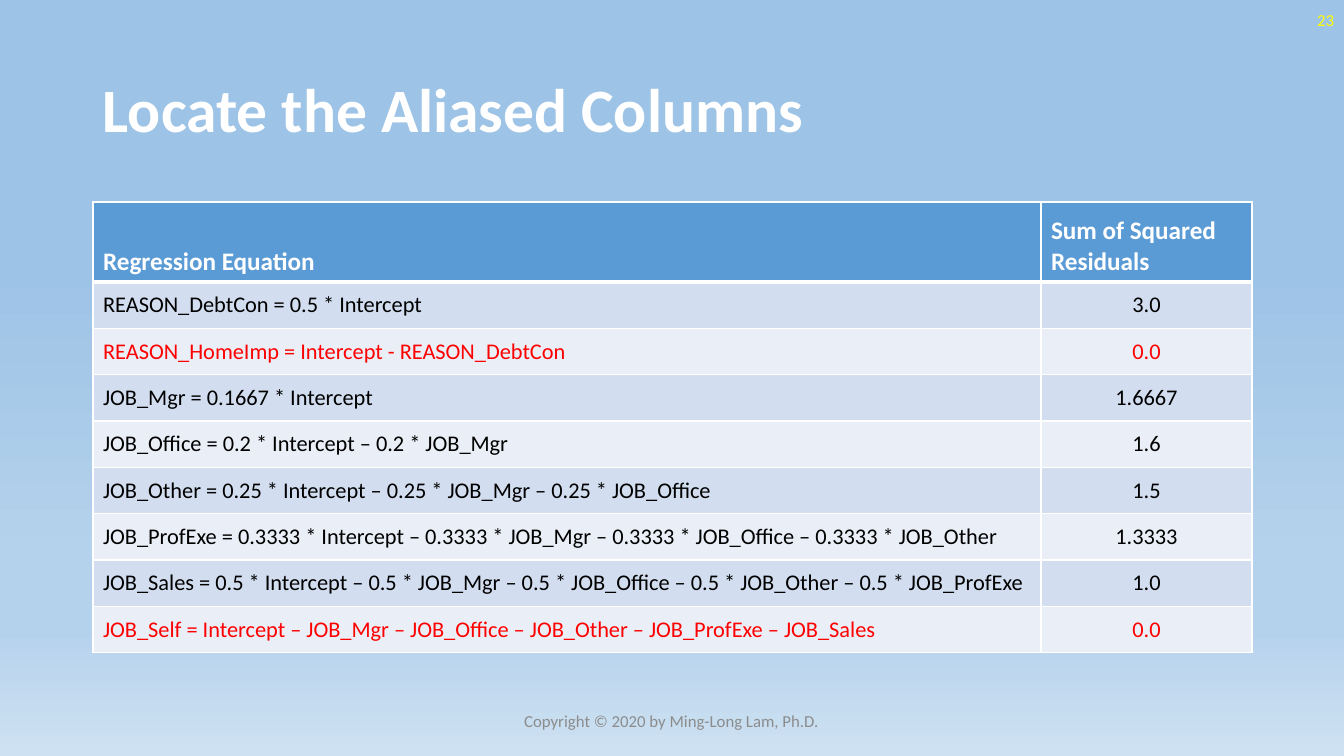
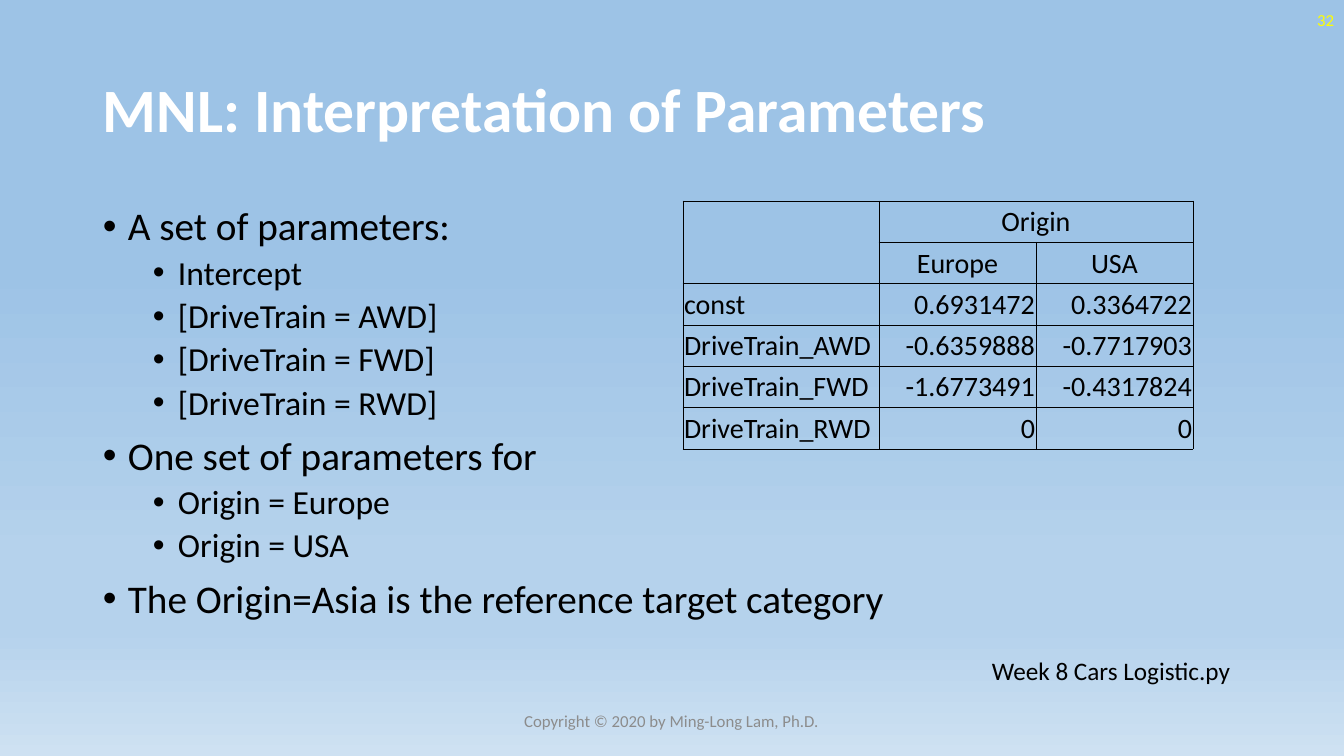
from lxml.etree import SubElement
from pptx import Presentation
from pptx.dml.color import RGBColor
from pptx.enum.text import MSO_ANCHOR, PP_ALIGN
from pptx.oxml.ns import qn
from pptx.util import Pt

SLIDE_W, SLIDE_H = 1344, 756
EMU_PER_PX = 12192000 / SLIDE_W

FONT = "Calibri"
WHITE = RGBColor(0xFF, 0xFF, 0xFF)
BLACK = RGBColor(0x00, 0x00, 0x00)
RED = RGBColor(0xFF, 0x00, 0x00)
YELLOW = RGBColor(0xFF, 0xFF, 0x00)
GRAY = RGBColor(0x8C, 0x8C, 0x8C)
HEADER_BLUE = RGBColor(0x5B, 0x9B, 0xD5)
BAND_DARK = RGBColor(0xD2, 0xDE, 0xEF)
BAND_LIGHT = RGBColor(0xEA, 0xEF, 0xF7)
SKY_TOP = RGBColor(0x9D, 0xC3, 0xE6)
SKY_MIDDLE = RGBColor(0xB5, 0xD2, 0xEC)
SKY_BOTTOM = RGBColor(0xCE, 0xE1, 0xF2)
SKY = [(35, SKY_TOP), (74, SKY_MIDDLE), (83, SKY_MIDDLE), (100, SKY_BOTTOM)]

TITLE_BOX = (93, 40, 1159, 146)
NUMBER_BOX = (1041, 0, 303, 40)
FOOTER_BOX = (445, 701, 453, 40)
EQUATION_BOX = (93, 202, 1159, 451)
BODY_BOX = (93, 202, 1159, 480)
PARAMETER_BOX = (683, 201, 510, 248)
SOURCE_BOX = (982, 650, 261, 40)
FOOTER = "Copyright © 2020 by Ming-Long Lam, Ph.D."

EQUATIONS = [
    ("REASON_DebtCon = 0.5 * Intercept", "3.0"),
    ("REASON_HomeImp = Intercept - REASON_DebtCon", "0.0"),
    ("JOB_Mgr = 0.1667 * Intercept", "1.6667"),
    ("JOB_Office = 0.2 * Intercept – 0.2 * JOB_Mgr", "1.6"),
    ("JOB_Other = 0.25 * Intercept – 0.25 * JOB_Mgr – 0.25 * JOB_Office", "1.5"),
    ("JOB_ProfExe = 0.3333 * Intercept – 0.3333 * JOB_Mgr – 0.3333 * JOB_Office"
     " – 0.3333 * JOB_Other", "1.3333"),
    ("JOB_Sales = 0.5 * Intercept – 0.5 * JOB_Mgr – 0.5 * JOB_Office"
     " – 0.5 * JOB_Other – 0.5 * JOB_ProfExe", "1.0"),
    ("JOB_Self = Intercept – JOB_Mgr – JOB_Office – JOB_Other – JOB_ProfExe"
     " – JOB_Sales", "0.0"),
]
PARAMETERS = [
    ("", "Origin", ""),
    ("", "Europe", "USA"),
    ("const", "0.6931472", "0.3364722"),
    ("DriveTrain_AWD", "-0.6359888", "-0.7717903"),
    ("DriveTrain_FWD", "-1.6773491", "-0.4317824"),
    ("DriveTrain_RWD", "0", "0"),
]
BULLETS = [
    (0, "A set of parameters:"),
    (1, "Intercept"),
    (1, "[DriveTrain = AWD]"),
    (1, "[DriveTrain = FWD]"),
    (1, "[DriveTrain = RWD]"),
    (0, "One set of parameters for"),
    (1, "Origin = Europe"),
    (1, "Origin = USA"),
    (0, "The Origin=Asia is the reference target category"),
]


def px(n):
    return round(n * EMU_PER_PX)


def write(p, text, size=18, color=BLACK, bold=False, align=PP_ALIGN.LEFT,
          line=None, before=None):
    p.alignment = align
    p.line_spacing = line
    p.space_before = before
    r = p.add_run()
    r.text = text
    r.font.name = FONT
    r.font.size = Pt(size)
    r.font.bold = bold
    r.font.color.rgb = color


def add_box(slide, box, anchor=MSO_ANCHOR.MIDDLE, wrap=True):
    tf = slide.shapes.add_textbox(*map(px, box)).text_frame
    tf.word_wrap = wrap
    tf.vertical_anchor = anchor
    return tf


def add_bullet(p, level):
    p.level = level
    pPr = p._p.get_or_add_pPr()
    pPr.set("marL", str(px(25 + 50 * level)))
    pPr.set("indent", str(px(-25)))
    SubElement(pPr, qn("a:buFont"), typeface="Arial")
    SubElement(pPr, qn("a:buChar"), char="•")


def add_grid(slide, box, rows, widths, header_height=None):
    x, y, w, h = box
    table = slide.shapes.add_table(len(rows), len(widths), *map(px, box)).table
    table.first_row = False
    table.horz_banding = False
    for column, width in zip(table.columns, widths):
        column.width = px(width)
    body_rows = list(table.rows)
    if header_height:
        body_rows.pop(0).height = px(header_height)
        h -= header_height
    for row in body_rows:
        row.height = px(h) // len(body_rows)
    return table


def style_cell(cell, color, width, fill=None, top=None, bottom=None):
    if fill is None:
        cell.fill.background()
    else:
        cell.fill.solid()
        cell.fill.fore_color.rgb = fill
    tcPr = cell._tc.get_or_add_tcPr()
    edges = {"L": width, "R": width, "T": top or width, "B": bottom or width}
    for i, (edge, points) in enumerate(edges.items()):
        ln = SubElement(tcPr, qn(f"a:ln{edge}"), w=str(Pt(points)))
        solid = SubElement(ln, qn("a:solidFill"))
        SubElement(solid, qn("a:srgbClr"), val=str(color))
        tcPr.insert(i, ln)


def paint_background(master):
    fill = master.background.fill
    fill.gradient()
    fill.gradient_angle = 270
    stops = master.element.find(".//" + qn("a:gsLst"))
    for gs in list(stops):
        stops.remove(gs)
    for percent, color in SKY:
        gs = SubElement(stops, qn("a:gs"), pos=str(percent * 1000))
        SubElement(gs, qn("a:srgbClr"), val=str(color))


def add_base_slide(prs, title, number):
    slide = prs.slides.add_slide(prs.slide_layouts[6])
    write(add_box(slide, TITLE_BOX).paragraphs[0], title, size=44, color=WHITE,
          bold=True, line=0.9)
    write(add_box(slide, NUMBER_BOX).paragraphs[0], number, size=12,
          color=YELLOW, align=PP_ALIGN.RIGHT)
    write(add_box(slide, FOOTER_BOX).paragraphs[0], FOOTER, size=12,
          color=GRAY, align=PP_ALIGN.CENTER)
    return slide


def add_equation_table(slide, box):
    rows = [("Regression Equation", "Sum of Squared Residuals")] + EQUATIONS
    residual_width = 211
    table = add_grid(slide, box, rows, [box[2] - residual_width, residual_width],
                     header_height=80)
    for i, row in enumerate(rows):
        for j, text in enumerate(row):
            cell = table.cell(i, j)
            p = cell.text_frame.paragraphs[0]
            if i == 0:
                cell.vertical_anchor = MSO_ANCHOR.BOTTOM
                style_cell(cell, WHITE, 1, fill=HEADER_BLUE, bottom=3)
                write(p, text, color=WHITE, bold=True)
                continue
            cell.vertical_anchor = MSO_ANCHOR.MIDDLE
            style_cell(cell, WHITE, 1, fill=BAND_DARK if i % 2 else BAND_LIGHT,
                       top=3 if i == 1 else 1)
            write(p, text, size=16, color=RED if row[1] == "0.0" else BLACK,
                  align=PP_ALIGN.CENTER if j else PP_ALIGN.LEFT)


def add_parameter_table(slide, box):
    table = add_grid(slide, box, PARAMETERS, [196, 157, 157])
    for i, row in enumerate(PARAMETERS):
        for j, text in enumerate(row):
            cell = table.cell(i, j)
            cell.vertical_anchor = MSO_ANCHOR.MIDDLE
            cell.margin_left = cell.margin_right = cell.margin_top = px(1)
            cell.margin_bottom = 0
            style_cell(cell, BLACK, 0.5)
            if i < 2:
                align = PP_ALIGN.CENTER
            else:
                align = PP_ALIGN.RIGHT if j else PP_ALIGN.LEFT
            if text:
                write(cell.text_frame.paragraphs[0], text, size=20, align=align)
    table.cell(0, 0).merge(table.cell(1, 0))
    table.cell(0, 1).merge(table.cell(0, 2))


def add_bullet_list(slide, box):
    tf = add_box(slide, box, anchor=MSO_ANCHOR.TOP)
    for i, (level, text) in enumerate(BULLETS):
        p = tf.add_paragraph() if i else tf.paragraphs[0]
        before = Pt(5 if level else 10) if i else None
        write(p, text, size=24 if level else 28, line=0.9, before=before)
        add_bullet(p, level)


def add_aliased_slide(prs):
    slide = add_base_slide(prs, "Locate the Aliased Columns", "23")
    add_equation_table(slide, EQUATION_BOX)


def add_parameter_slide(prs):
    slide = add_base_slide(prs, "MNL: Interpretation of Parameters", "32")
    add_bullet_list(slide, BODY_BOX)
    add_parameter_table(slide, PARAMETER_BOX)
    tf = add_box(slide, SOURCE_BOX, anchor=MSO_ANCHOR.TOP, wrap=False)
    write(tf.paragraphs[0], "Week 8 Cars Logistic.py")


def main():
    prs = Presentation()
    prs.slide_width, prs.slide_height = px(SLIDE_W), px(SLIDE_H)
    paint_background(prs.slide_master)
    add_aliased_slide(prs)
    add_parameter_slide(prs)
    prs.save("out.pptx")


if __name__ == "__main__":
    main()
